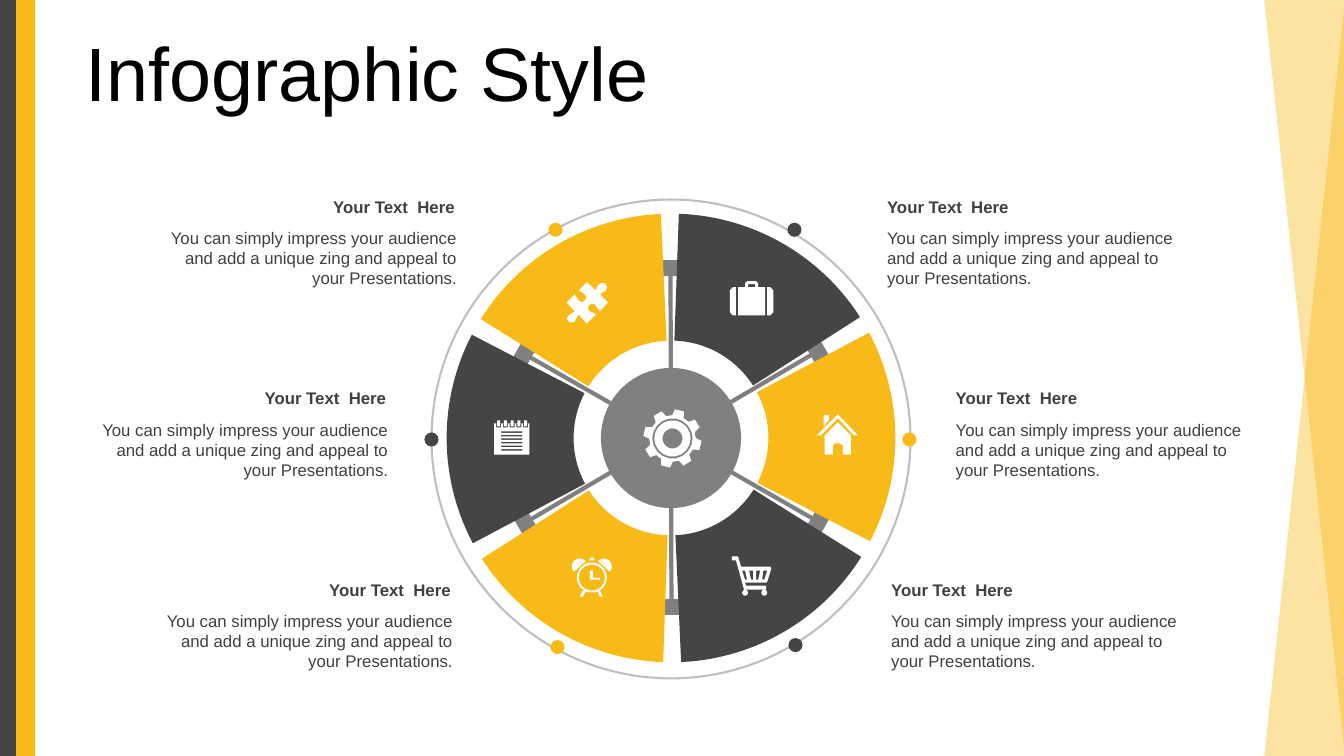
import math
from dataclasses import dataclass

import pptx
import pptx.dml.color
import pptx.enum.shapes
import pptx.enum.text
import pptx.oxml
import pptx.oxml.ns
import pptx.util
from pptx.util import Inches

MSO_SHAPE = pptx.enum.shapes.MSO_SHAPE
ALIGN = pptx.enum.text.PP_ALIGN
ANCHOR = pptx.enum.text.MSO_ANCHOR
COLORS = {
    "yellow": "F8BA16", "dark": "454545", "gray": "808080", "ring": "BFBFBF",
    "text": "404040", "black": "000000", "white": "FFFFFF",
}
HEADING = "Your Text  Here"
BODY = ("You can simply impress your audience and add a unique zing "
        "and appeal to your Presentations.")
Point = tuple[float, float]
Contour = list[Point]


@dataclass
class Segment:
    color: str
    dot: Point
    text: Point
    align: ALIGN
    icon: list[Contour]


def rgb(name: str) -> pptx.dml.color.RGBColor:
    return pptx.dml.color.RGBColor.from_string(COLORS[name])


def paint(sp, color: str) -> None:
    sp.shadow.inherit = False
    sp.fill.solid()
    sp.fill.fore_color.rgb = rgb(color)
    sp.line.fill.background()


def add_shape(s, kind: MSO_SHAPE, left: float, top: float, width: float,
              height: float, color: str, adjustments: tuple = ()):
    sp = s.shapes.add_shape(kind, Inches(left), Inches(top), Inches(width), Inches(height))
    paint(sp, color)
    for i, value in enumerate(adjustments):
        sp.adjustments[i] = value
    return sp


def write(tf, text: str, *, size: float = 12, color: str = "text", bold: bool = False,
          align: ALIGN = ALIGN.LEFT, anchor: ANCHOR = ANCHOR.TOP, spacing: float = 1.0) -> None:
    tf.word_wrap = True
    tf.vertical_anchor = anchor
    p = tf.paragraphs[0]
    p.alignment = align
    p.line_spacing = spacing
    r = p.add_run()
    r.text = text
    r.font.name = "Arial"
    r.font.size = pptx.util.Pt(size)
    r.font.bold = bold
    r.font.color.rgb = rgb(color)


def add_text(s, left: float, top: float, width: float, height: float, text: str, **fmt) -> None:
    box = s.shapes.add_textbox(Inches(left), Inches(top), Inches(width), Inches(height))
    write(box.text_frame, text, **fmt)


def add_spoke(s, start: Point, end: Point) -> None:
    line = s.shapes.add_connector(pptx.enum.shapes.MSO_CONNECTOR.STRAIGHT,
                                  *map(Inches, start + end))
    line.line.color.rgb = rgb("gray")
    line.line.width = pptx.util.Pt(3)
    line._element.spPr.append(pptx.oxml.parse_xml(
        f'<a:effectLst {pptx.oxml.ns.nsdecls("a")}/>'))


def add_corner(s, flips: tuple[str, ...]) -> None:
    """Translucent right triangle along the right edge."""
    sp = add_shape(s, MSO_SHAPE.RIGHT_TRIANGLE, 12.54, 0, 0.8, 7.5, "yellow")
    for flip in flips:
        sp._element.spPr.xfrm.set(flip, "1")
    clr = sp._element.spPr.find(".//" + pptx.oxml.ns.qn("a:srgbClr"))
    clr.append(pptx.oxml.parse_xml(f'<a:alpha {pptx.oxml.ns.nsdecls("a")} val="40000"/>'))


def arc(cx: float, cy: float, radius: float, steps: int, start: int = 0,
        sweep: int = 360) -> Contour:
    """Points of a circular arc, in degrees clockwise from the right."""
    angles = [math.radians(start + sweep * i / steps) for i in range(steps + 1)]
    return [(cx + radius * math.cos(a), cy + radius * math.sin(a)) for a in angles]


def box(left: float, top: float, width: float, height: float) -> Contour:
    right, bottom = left + width, top + height
    return [(left, top), (right, top), (right, bottom), (left, bottom)]


def add_icon(s, contours: list[Contour]) -> None:
    """White freeform; nested contours become holes."""
    paths = [[(Inches(x), Inches(y)) for x, y in c] for c in contours]
    builder = s.shapes.build_freeform(*paths[0][0], scale=1.0)
    for i, points in enumerate(paths):
        if i:
            builder.move_to(*points[0])
        builder.add_line_segments(points[1:], close=True)
    paint(builder.convert_to_shape(), "white")


def gear_teeth(cx: float, cy: float) -> Contour:
    teeth = []
    for tooth in range(8):
        for offset, radius in ((-15, 0.23), (-9, 0.29), (9, 0.29), (15, 0.23)):
            a = math.radians(tooth * 45 + 14 + offset)
            teeth.append((cx + radius * math.sin(a), cy - radius * math.cos(a)))
    return teeth


NOTEBOOK = [box(4.9, 4.2, 0.35, 0.31)]
NOTEBOOK += [box(4.97, 4.28 + 0.035 * i, 0.21, 0.015) for i in range(6)]
for hole in range(5):
    hole_x = 4.92 + 0.067 * hole
    NOTEBOOK += [box(hole_x, 4.2, 0.05, 0.04), box(hole_x + 0.01, 4.17, 0.03, 0.06)]
CLOCK = [
    arc(5.87, 5.73, 0.15, 18), arc(5.87, 5.73, 0.13, 18),
    [(5.85, 5.66), (5.88, 5.66), (5.88, 5.73), (5.95, 5.73), (5.95, 5.75), (5.85, 5.75)],
    [(5.78, 5.86), (5.81, 5.87), (5.78, 5.92), (5.75, 5.92)],
    [(5.95, 5.86), (5.93, 5.87), (5.95, 5.92), (5.98, 5.92)],
    arc(5.75, 5.62, 0.08, 6, 138, 180), arc(5.99, 5.62, 0.08, 6, 222, 180),
    [(5.84, 5.56), (5.86, 5.53), (5.88, 5.53), (5.9, 5.56)],
]
CART = [
    [(7.26, 5.52), (7.32, 5.52), (7.35, 5.62), (7.64, 5.62), (7.65, 5.64), (7.61, 5.77),
     (7.6, 5.78), (7.39, 5.78), (7.4, 5.81), (7.6, 5.81), (7.6, 5.85), (7.38, 5.85),
     (7.3, 5.56), (7.26, 5.56)],
    [(7.36, 5.66), (7.39, 5.66), (7.41, 5.75), (7.39, 5.75)],
    [(7.43, 5.66), (7.47, 5.66), (7.47, 5.75), (7.45, 5.75)],
    [(7.5, 5.66), (7.54, 5.66), (7.52, 5.75), (7.5, 5.75)],
    [(7.57, 5.66), (7.61, 5.66), (7.58, 5.75), (7.56, 5.75)],
    arc(7.39, 5.88, 0.03, 8), arc(7.58, 5.88, 0.03, 8),
]
HOUSE = [
    [(8.31, 4.19), (8.44, 4.32), (8.44, 4.51), (8.36, 4.51), (8.36, 4.42), (8.33, 4.4),
     (8.28, 4.4), (8.26, 4.42), (8.26, 4.51), (8.18, 4.51), (8.18, 4.32)],
    [(8.17, 4.12), (8.22, 4.12), (8.22, 4.17), (8.17, 4.23)],
    [(8.31, 4.11), (8.51, 4.32), (8.47, 4.32), (8.31, 4.15), (8.14, 4.32), (8.1, 4.32)],
]
BRIEFCASE = [
    [(7.61, 2.85), (7.64, 2.85), (7.67, 2.88), (7.67, 3.1), (7.64, 3.13), (7.61, 3.13)],
    [(7.3, 2.85), (7.27, 2.85), (7.24, 2.88), (7.24, 3.1), (7.27, 3.13), (7.3, 3.13)],
    [(7.32, 2.85), (7.39, 2.85), (7.39, 2.81), (7.41, 2.79), (7.5, 2.79), (7.52, 2.81),
     (7.52, 2.85), (7.59, 2.85), (7.59, 3.13), (7.32, 3.13)],
    box(7.42, 2.82, 0.07, 0.03),
]
PUZZLE = [[
    (5.99, 2.81), (6.01, 2.82), (6.02, 2.85), (6.01, 2.88), (5.98, 2.9), (5.95, 2.92),
    (6.03, 3), (5.95, 3.09), (5.93, 3.06), (5.9, 3.02), (5.87, 3.01), (5.84, 3.03),
    (5.83, 3.06), (5.85, 3.09), (5.88, 3.1), (5.91, 3.12), (5.82, 3.21), (5.74, 3.12),
    (5.72, 3.15), (5.7, 3.19), (5.67, 3.2), (5.64, 3.19), (5.62, 3.16), (5.64, 3.13),
    (5.67, 3.11), (5.7, 3.09), (5.62, 3), (5.7, 2.92), (5.72, 2.95), (5.74, 2.98),
    (5.77, 3), (5.8, 2.98), (5.82, 2.95), (5.8, 2.92), (5.77, 2.9), (5.74, 2.88),
    (5.82, 2.8), (5.91, 2.88), (5.92, 2.85), (5.94, 2.82), (5.96, 2.81),
]]

# Counter-clockwise from the left
SEGMENTS = [
    Segment("dark", (4.21, 4.29), (0.86, 3.8), ALIGN.RIGHT, NOTEBOOK),
    Segment("yellow", (5.46, 6.35), (1.5, 5.7), ALIGN.RIGHT, CLOCK),
    Segment("dark", (7.82, 6.33), (8.74, 5.7), ALIGN.LEFT, CART),
    Segment("yellow", (8.95, 4.29), (9.38, 3.8), ALIGN.LEFT, HOUSE),
    Segment("dark", (7.81, 2.21), (8.7, 1.9), ALIGN.LEFT, BRIEFCASE),
    Segment("yellow", (5.44, 2.21), (1.54, 1.9), ALIGN.RIGHT, PUZZLE),
]
SPOKES = [((5.18, 3.5), (8.14, 5.19)), ((6.65, 2.65), (6.66, 6.1)), ((8.1, 3.49), (5.2, 5.19))]


def main() -> None:
    prs = pptx.Presentation()
    prs.slide_width, prs.slide_height = Inches(13.33), Inches(7.5)
    s = prs.slides.add_slide(prs.slide_layouts[5])
    title = s.shapes.title
    title.left, title.top, title.width, title.height = map(Inches, (0.75, 0.37, 12.26, 0.79))
    write(title.text_frame, "Infographic Style", size=54, color="black",
          anchor=ANCHOR.MIDDLE, spacing=0.9)
    title.text_frame.auto_size = pptx.enum.text.MSO_AUTO_SIZE.NONE

    add_corner(s, ("flipH", "flipV"))
    add_shape(s, MSO_SHAPE.RECTANGLE, 0, 0, 0.19, 7.5, "dark")
    add_shape(s, MSO_SHAPE.RECTANGLE, 0.16, 0, 0.19, 7.5, "yellow")
    add_corner(s, ("flipH",))
    ring = add_shape(s, MSO_SHAPE.OVAL, 4.28, 1.98, 4.75, 4.75, "ring")
    ring.fill.background()
    ring.line.color.rgb = rgb("ring")
    ring.line.width = pptx.util.Pt(1.5)
    for start, end in SPOKES:
        add_spoke(s, start, end)
    add_shape(s, MSO_SHAPE.OVAL, 5.96, 3.65, 1.39, 1.39, "gray")
    add_shape(s, MSO_SHAPE.DONUT, 4.9, 2.58, 3.52, 3.52, "gray", (0.045,))
    for i, seg in enumerate(SEGMENTS):
        add_shape(s, MSO_SHAPE.OVAL, *seg.dot, 0.14, 0.14, seg.color)
        wedge = add_shape(s, MSO_SHAPE.BLOCK_ARC, 4.43, 2.12, 4.45, 4.45, seg.color,
                          (108, 141.245, 0.283))
        wedge.rotation = 332 - 60 * i
        left, top = seg.text
        add_text(s, left, top + 0.31, 3.09, 0.71, BODY, align=seg.align)
        add_text(s, left, top, 3.07, 0.3, HEADING, bold=True, align=seg.align)
        add_icon(s, seg.icon)
    add_icon(s, [gear_teeth(6.67, 4.35)] + [arc(6.67, 4.35, r, 18) for r in (0.2, 0.18, 0.1)])
    prs.save("out.pptx")


if __name__ == "__main__":
    main()
